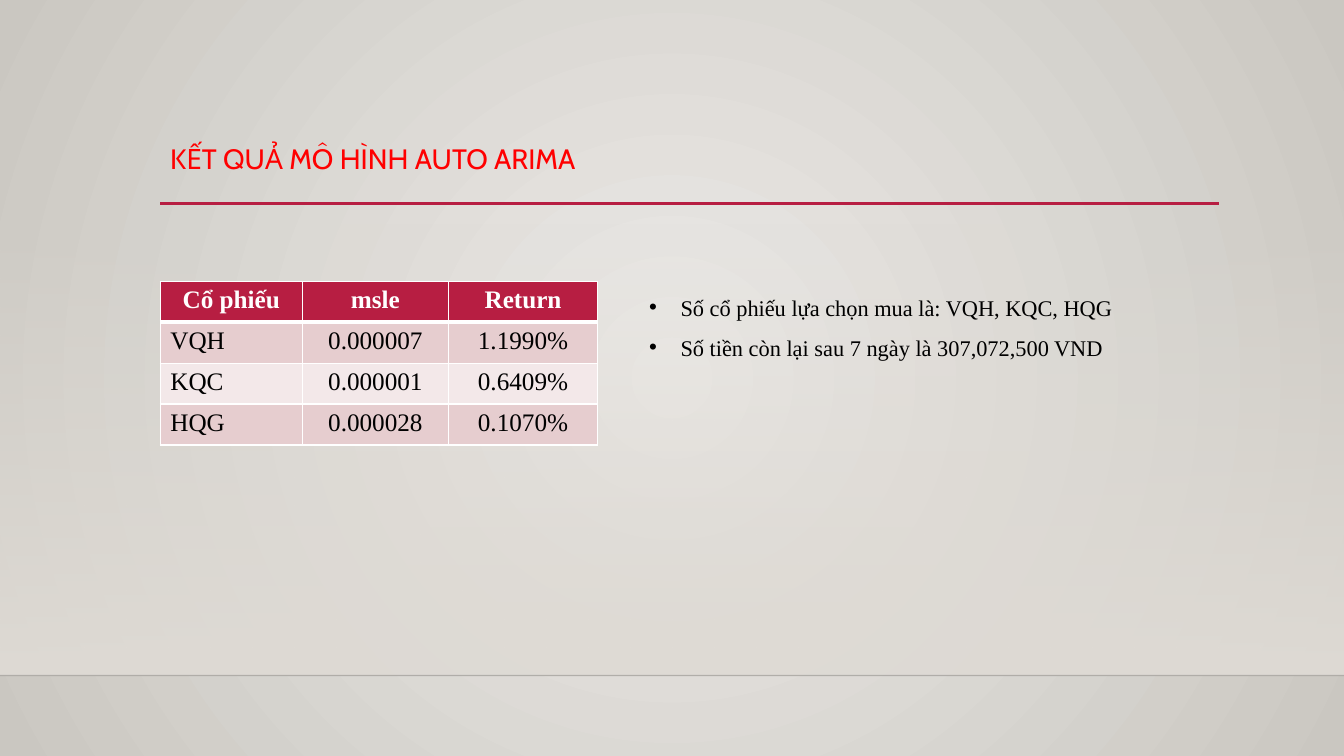
from lxml import etree
from pptx import Presentation
from pptx import util as u
from pptx.dml import color as c
from pptx.enum import shapes, text
from pptx.oxml import ns


def rgb(value):
    return c.RGBColor.from_string(value)


def add(parent, tag, **attributes):
    element = etree.SubElement(parent, ns.qn(tag))
    for name, value in attributes.items():
        element.set(name, str(value))
    return element


presentation = Presentation()
presentation.slide_width = u.Pt(960)
presentation.slide_height = u.Pt(540)
slide = presentation.slides.add_slide(presentation.slide_layouts[6])

background = slide.background.fill
background.gradient()
for stop, value in zip(background.gradient_stops, ["ECEAE7", "CAC7C1"]):
    stop.color.rgb = rgb(value)
gradient = slide.element.find(".//" + ns.qn("a:gradFill"))
gradient.remove(gradient.find(ns.qn("a:lin")))
circle = add(gradient, "a:path", path="circle")
add(circle, "a:fillToRect", l=50000, t=50000, r=50000, b=50000)

band = slide.shapes.add_shape(
    shapes.MSO_SHAPE.RECTANGLE, u.Pt(0), u.Pt(159), u.Pt(960), u.Pt(323.5))
band.shadow.inherit = False
band.line.fill.background()
band.fill.gradient()
band.fill.gradient_angle = 270
for stop in band.fill.gradient_stops:
    stop.color.rgb = rgb("DFDBD5")
first_stop = band.element.find(".//" + ns.qn("a:srgbClr"))
add(first_stop, "a:alpha", val=0)

rules = [
    (0, 960, 482.5, "000000", 1, 20),
    (114.5, 871, 145.3, "B71E42", 2.5, 100),
]
for left, right, top, value, width, opacity in rules:
    rule = slide.shapes.add_connector(
        shapes.MSO_CONNECTOR.STRAIGHT, u.Pt(left), u.Pt(top), u.Pt(right), u.Pt(top))
    rule.line.color.rgb = rgb(value)
    rule.line.width = u.Pt(width)
    if opacity < 100:
        add(rule.element.find(".//" + ns.qn("a:srgbClr")), "a:alpha", val=opacity * 1000)
    add(rule.element.spPr, "a:effectLst")

rows = [
    ["Cổ phiếu", "msle", "Return"],
    ["VQH", "0.000007", "1.1990%"],
    ["KQC", "0.000001", "0.6409%"],
    ["HQG", "0.000028", "0.1070%"],
]
row_fills = ["B71E42", "E6CDCF", "F3E8E9", "E6CDCF"]
column_widths = [101.5, 104.4, 106.5]
row_height = 29.2
table = slide.shapes.add_table(
    len(rows), len(column_widths), u.Pt(114.5), u.Pt(201),
    u.Pt(sum(column_widths)), u.Pt(row_height * len(rows))).table
for column, width in zip(table.columns, column_widths):
    column.width = u.Pt(width)
for row_index, values in enumerate(rows):
    table.rows[row_index].height = u.Pt(row_height)
    header = row_index == 0
    for column_index, value in enumerate(values):
        cell = table.cell(row_index, column_index)
        properties = cell._tc.get_or_add_tcPr()
        for side in "LRTB":
            thick = (header and side == "B") or (row_index == 1 and side == "T")
            border = add(properties, "a:ln" + side, w=u.Pt(3 if thick else 1))
            add(add(border, "a:solidFill"), "a:srgbClr", val="FFFFFF")
        cell.fill.solid()
        cell.fill.fore_color.rgb = rgb(row_fills[row_index])
        cell.text_frame.text = value
        paragraph = cell.text_frame.paragraphs[0]
        if header or column_index > 0:
            paragraph.alignment = text.PP_ALIGN.CENTER
        font = paragraph.runs[0].font
        font.name = "Times New Roman"
        font.size = u.Pt(18)
        font.bold = header
        font.color.rgb = rgb("FFFFFF" if header else "000000")

text_boxes = [
    (114.5, 100, 756, 46, "KẾT QUẢ MÔ HÌNH AUTO ARIMA",
     "Cabin", 20, "FF0000", 0.9, False),
    (456.5, 196.6, 351.4, 62,
     "Số cổ phiếu lựa chọn mua là: VQH, KQC, HQG\n"
     "Số tiền còn lại sau 7 ngày là 307,072,500 VND",
     "Times New Roman", 16, "000000", 1.5, True),
]
for left, top, width, height, wording, name, size, value, spacing, bulleted in text_boxes:
    box = slide.shapes.add_textbox(u.Pt(left), u.Pt(top), u.Pt(width), u.Pt(height))
    frame = box.text_frame
    frame.word_wrap = True
    frame.text = wording
    for paragraph in frame.paragraphs:
        if bulleted:
            properties = paragraph._p.get_or_add_pPr()
            properties.set("marL", str(u.Pt(22.5)))
            properties.set("indent", str(u.Pt(-22.5)))
            add(properties, "a:buFont", typeface="Arial")
            add(properties, "a:buChar", char="•")
        paragraph.line_spacing = spacing
        font = paragraph.runs[0].font
        font.name = name
        font.size = u.Pt(size)
        font.color.rgb = rgb(value)

presentation.save("out.pptx")
